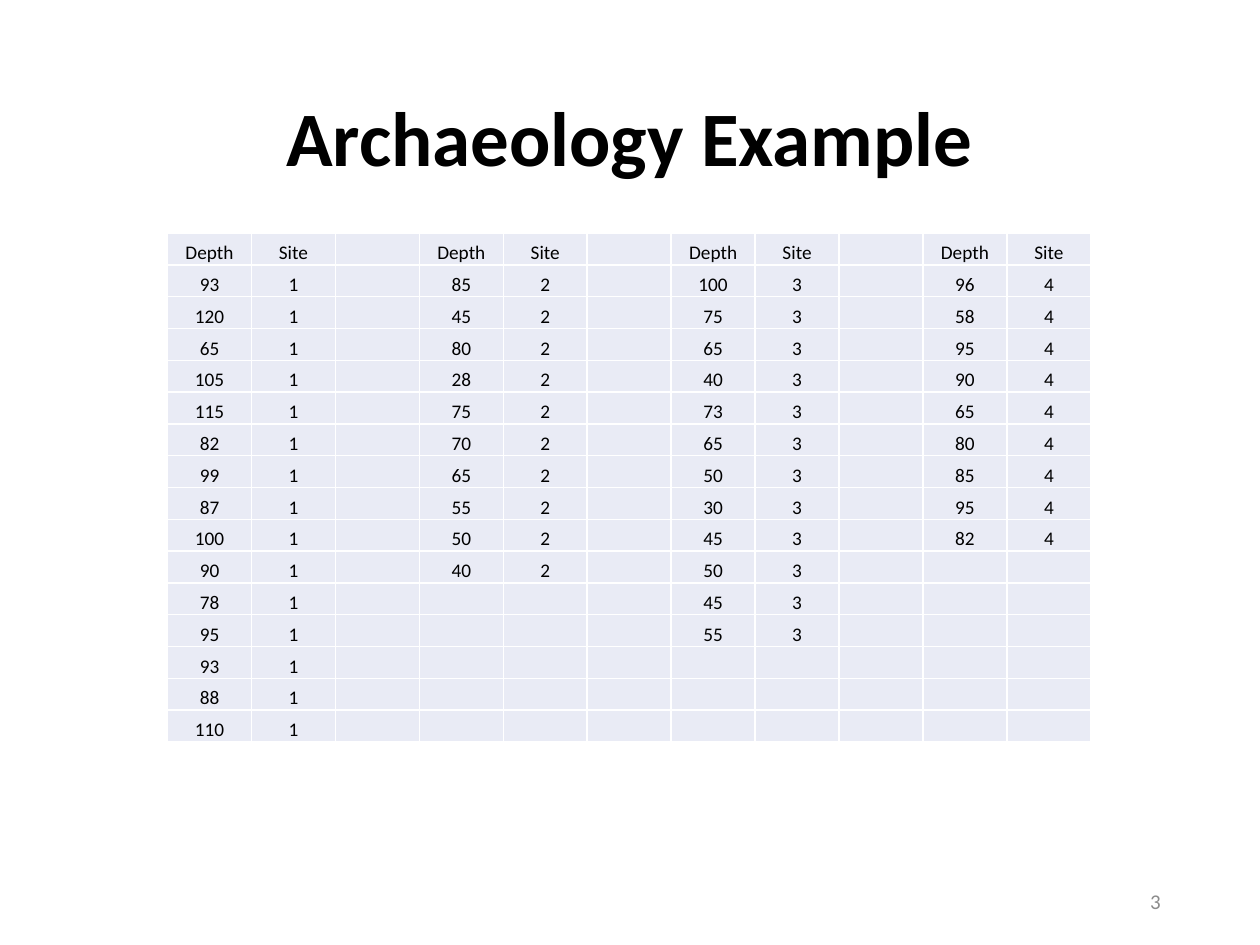
from dataclasses import dataclass

from lxml import etree
from pptx import Presentation
from pptx.dml.color import RGBColor
from pptx.enum.text import MSO_ANCHOR, MSO_AUTO_SIZE, PP_ALIGN
from pptx.oxml.ns import qn
from pptx.util import Inches, Pt

CENTER, RIGHT = PP_ALIGN.CENTER, PP_ALIGN.RIGHT
MIDDLE, BOTTOM = MSO_ANCHOR.MIDDLE, MSO_ANCHOR.BOTTOM
NO_AUTOFIT = MSO_AUTO_SIZE.NONE
TITLE_ONLY = 5


@dataclass(frozen=True)
class Theme:
    """Colours, font and type sizes of the slide."""
    font: str = "Calibri"
    ink: str = "000000"
    muted: str = "8C8C8C"
    cell: str = "E9EBF5"
    border: str = "FFFFFF"
    title_size: int = 44
    cell_size: int = 11
    number_size: int = 12
    border_width: int = 1


THEME = Theme()

SITE_DEPTHS = {
    1: [93, 120, 65, 105, 115, 82, 99, 87, 100, 90, 78, 95, 93, 88, 110],
    2: [85, 45, 80, 28, 75, 70, 65, 55, 50, 40],
    3: [100, 75, 65, 40, 73, 65, 50, 30, 45, 50, 45, 55],
    4: [96, 58, 95, 90, 65, 80, 85, 95, 82],
}


def add_span(para, text, size, color, bold=False):
    """Add one formatted run to a paragraph."""
    span = para.add_run()
    span.text = text
    span.font.name = THEME.font
    span.font.size = Pt(size)
    span.font.bold = bold
    span.font.color.rgb = RGBColor.from_string(color)


def add_title(slide, text):
    """Place and fill the title placeholder."""
    title = slide.shapes.title
    title.left, title.top = Inches(0.69), Inches(0.4)
    title.width, title.height = Inches(8.62), Inches(1.45)
    frame = title.text_frame
    frame.auto_size = NO_AUTOFIT
    frame.vertical_anchor = MIDDLE
    para = frame.paragraphs[0]
    para.alignment = CENTER
    para.line_spacing = 0.9
    add_span(para, text, THEME.title_size, THEME.ink, bold=True)


def add_slide_number(slide, text):
    """Add the slide number at the lower right."""
    box = slide.shapes.add_textbox(Inches(7.06), Inches(6.95), Inches(2.25), Inches(0.4))
    frame = box.text_frame
    frame.word_wrap = True
    frame.vertical_anchor = MIDDLE
    para = frame.paragraphs[0]
    para.alignment = RIGHT
    add_span(para, text, THEME.number_size, THEME.muted)


def add_borders(cell):
    """Draw a thin line on all four sides of a cell."""
    properties = cell._tc.get_or_add_tcPr()
    for side in ("lnL", "lnR", "lnT", "lnB"):
        line = etree.SubElement(properties, qn(f"a:{side}"), w=str(Pt(THEME.border_width)))
        fill = etree.SubElement(line, qn("a:solidFill"))
        etree.SubElement(fill, qn("a:srgbClr"), val=THEME.border)


def fill_cell(cell, text):
    """Format one table cell and write its text, if any."""
    add_borders(cell)
    cell.fill.solid()
    cell.fill.fore_color.rgb = RGBColor.from_string(THEME.cell)
    cell.vertical_anchor = BOTTOM
    cell.margin_left = cell.margin_right = cell.margin_top = Inches(0.01)
    cell.margin_bottom = 0
    para = cell.text_frame.paragraphs[0]
    para.alignment = CENTER
    if text:
        add_span(para, text, THEME.cell_size, THEME.ink)
    else:
        etree.SubElement(para._p, qn("a:endParaRPr"), sz=str(THEME.cell_size * 100))


def site_columns():
    """List the columns: depth and site pairs with an empty column between."""
    columns = []
    for site, depths in SITE_DEPTHS.items():
        if columns:
            columns.append([])
        columns.append(["Depth", *map(str, depths)])
        columns.append(["Site", *[str(site)] * len(depths)])
    return columns


def add_depth_table(slide):
    """Add the table of depths grouped by site."""
    columns = site_columns()
    row_count = max(map(len, columns))
    width, height = Inches(7.33), Inches(4.04)
    table = slide.shapes.add_table(
        row_count, len(columns), Inches(1.33), Inches(1.85), width, height
    ).table
    table.first_row = False
    table.horz_banding = False
    for row in table.rows:
        row.height = height // row_count
    for index, column in enumerate(columns):
        table.columns[index].width = width // len(columns)
        for row in range(row_count):
            fill_cell(table.cell(row, index), column[row] if row < len(column) else "")


def main():
    """Build and save the slide."""
    deck = Presentation()
    deck.slide_width, deck.slide_height = Inches(10), Inches(7.5)
    slide = deck.slides.add_slide(deck.slide_layouts[TITLE_ONLY])
    add_title(slide, "Archaeology Example")
    add_depth_table(slide)
    add_slide_number(slide, "3")
    deck.save("out.pptx")


if __name__ == "__main__":
    main()
